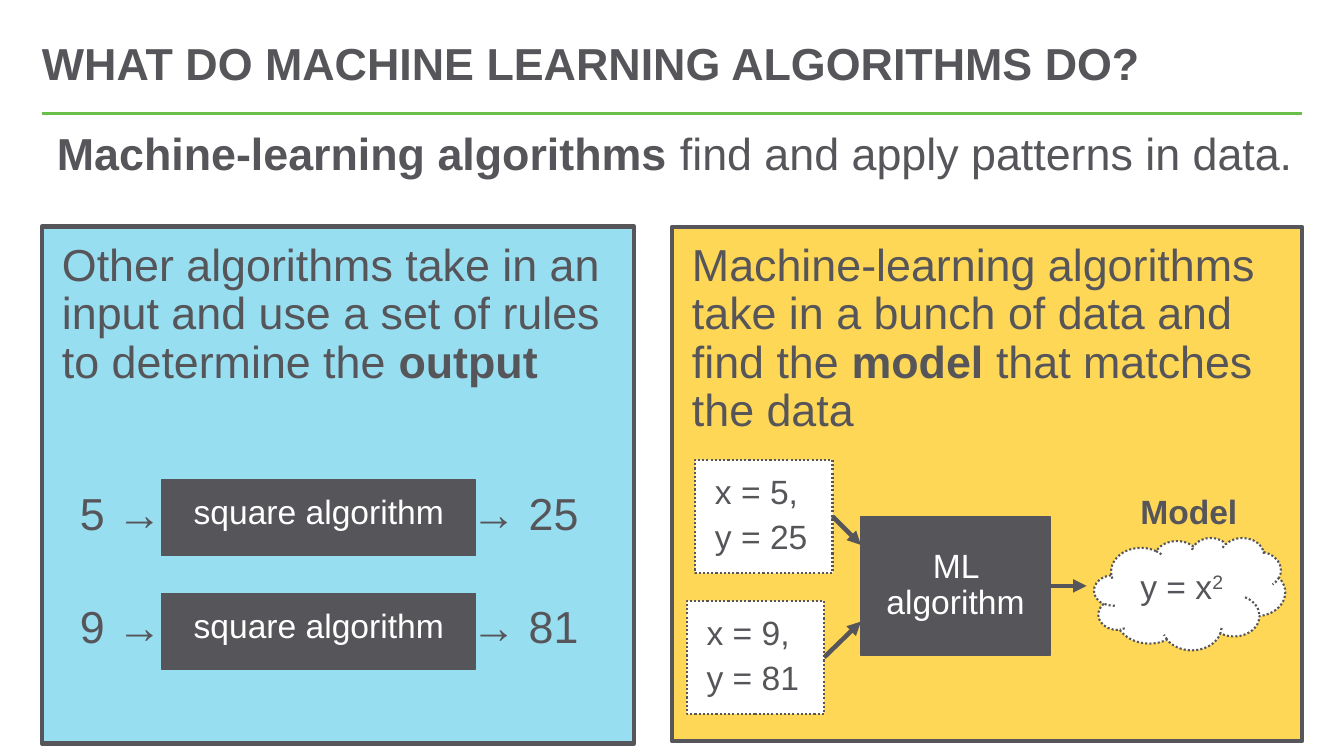
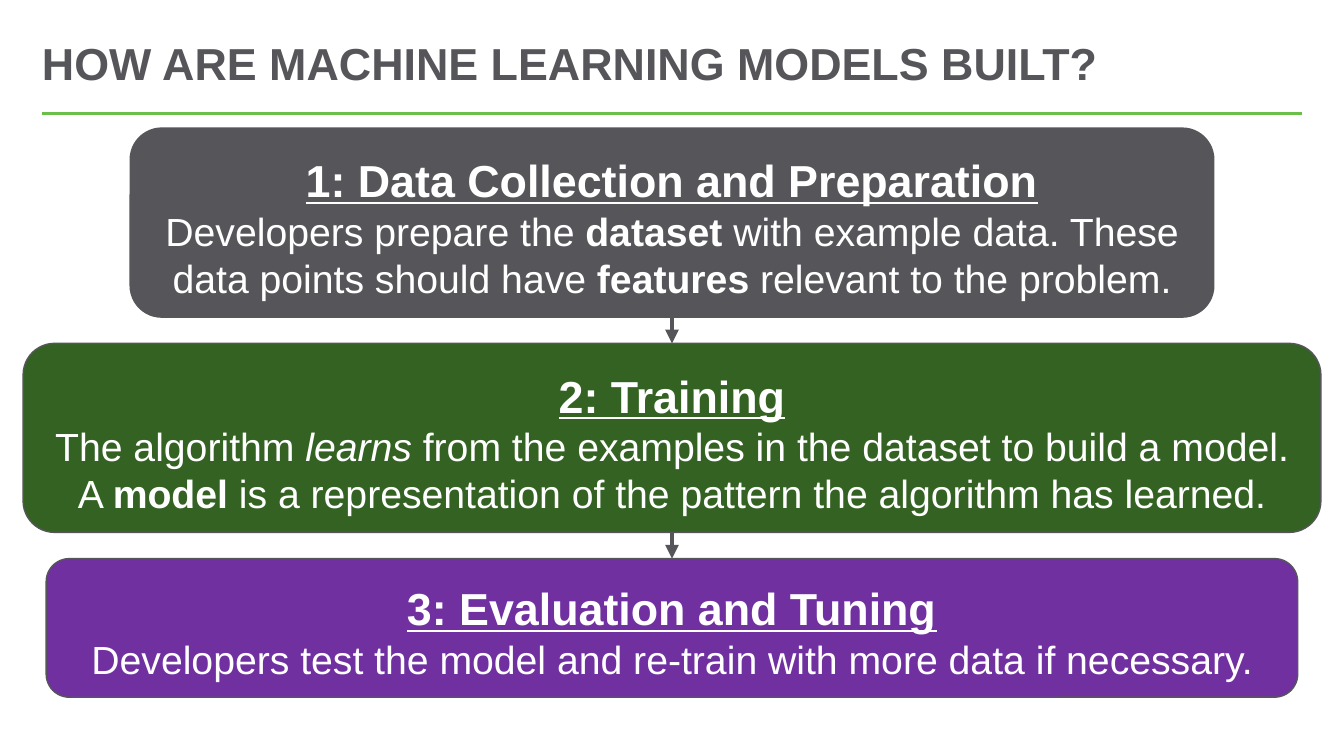
from dataclasses import dataclass

from pptx import Presentation
from pptx.dml.color import RGBColor as RGB
from pptx.enum.dml import MSO_LINE as Dash
from pptx.enum.shapes import MSO_CONNECTOR as Wire, MSO_SHAPE as Form
from pptx.enum.text import MSO_ANCHOR as Anchor, PP_ALIGN as Align
from pptx.oxml.ns import qn
from pptx.util import Emu, Pt
from lxml.etree import SubElement as Sub

SCALE = 9525
WIDE, HIGH = 1280, 720
EDGE = 40
PAD = (19, 15, 19, 15)
TOP, LEFT, BOTTOM, RIGHT = range(4)


@dataclass(frozen=True)
class Theme:
    font: str = "Arial"
    ink: str = "56565A"
    paper: str = "FFFFFF"
    rule: str = "6ABF4B"
    sky: str = "98DEF1"
    sun: str = "FFD757"
    leaf: str = "346223"
    plum: str = "7030A0"
    large: int = 32
    medium: int = 28
    small: int = 24
    tight: float = 0.9
    arrow: float = 3.25


THEME = Theme()


@dataclass(frozen=True)
class Para:
    runs: tuple
    size: int = THEME.large
    color: str = THEME.ink
    style: str = ""
    align: Align = Align.LEFT
    space: float = THEME.tight
    after: int = 6


def px(*sizes):
    return [Emu(round(size * SCALE)) for size in sizes]


def mark(font, style):
    if "b" in style:
        font.bold = True
    if "i" in style:
        font.italic = True
    if "u" in style:
        font.underline = True


def write(shape, paras, inset=PAD, anchor=Anchor.TOP):
    frame = shape.text_frame
    frame.word_wrap = True
    frame.vertical_anchor = anchor
    (frame.margin_left, frame.margin_top,
     frame.margin_right, frame.margin_bottom) = px(*inset)
    for index, para in enumerate(paras):
        line = frame.add_paragraph() if index else frame.paragraphs[0]
        line.alignment = para.align
        line.line_spacing = para.space
        line.space_after = Pt(para.after)
        font = line.font
        font.name, font.size = THEME.font, Pt(para.size)
        font.color.rgb = RGB.from_string(para.color)
        mark(font, para.style)
        for words, style in para.runs:
            run = line.add_run()
            run.text = words
            mark(run.font, style)
            if "^" in style:
                run._r.get_or_add_rPr().set("baseline", "30000")


def plain(words, **looks):
    return Para(((words, ""),), **looks)


def text(slide, rect, paras, **looks):
    write(slide.shapes.add_textbox(*px(*rect)), paras, **looks)


def box(slide, rect, paras, fill, form=Form.RECTANGLE, width=1,
        dash=None, anchor=Anchor.TOP):
    shape = slide.shapes.add_shape(form, *px(*rect))
    shape.shadow.inherit = False
    shape.fill.solid()
    shape.fill.fore_color.rgb = RGB.from_string(fill)
    shape.line.color.rgb = RGB.from_string(THEME.ink)
    shape.line.width = Pt(width)
    if dash:
        shape.line.dash_style = dash
    write(shape, paras, anchor=anchor)
    return shape


def stroke(slide, start, end, color, width):
    line = slide.shapes.add_connector(Wire.STRAIGHT, *px(*start, *end))
    line.line.color.rgb = RGB.from_string(color)
    line.line.width = Pt(width)
    Sub(line._element.spPr, qn("a:effectLst"))
    return line


def arrow(slide, source, site, end):
    line = stroke(slide, (0, 0), end, THEME.ink, THEME.arrow)
    line.begin_connect(source, site)
    Sub(line.line._get_or_add_ln(), qn("a:tailEnd")).set("type", "triangle")
    return line


def page(deck, title):
    slide = deck.slides.add_slide(deck.slide_layouts[6])
    stroke(slide, (EDGE, 108), (WIDE - EDGE, 108), THEME.rule, 2.25)
    text(slide, (EDGE, 24, WIDE - 2 * EDGE, 72),
         [plain(title, style="b", after=0)],
         inset=(0, 5, 0, 0), anchor=Anchor.MIDDLE)
    return slide


def label(words):
    return plain(words, size=THEME.small, color=THEME.paper,
                 align=Align.CENTER, after=0)


def square(slide, top, given, result):
    box(slide, (154, top, 299, 72), [label("square algorithm")], THEME.ink)
    for left, words in ((57, f"{given} →"), (430, f"→ {result}")):
        text(slide, (left, top - 4, 160, 72), [plain(words)])


def learn(slide):
    model = box(slide, (820, 492, 180, 132), [label("ML algorithm")],
                THEME.ink, anchor=Anchor.MIDDLE)
    samples = ((662, 438, 5, 25, 519), (654, 572, 9, 81, 592))
    for left, top, x, y, entry in samples:
        lines = [plain(words, size=THEME.small)
                 for words in (f"x = {x},", f"y = {y}")]
        sample = box(slide, (left, top, 131, 108), lines, THEME.paper,
                     width=1.5, dash=Dash.ROUND_DOT)
        arrow(slide, sample, RIGHT, (820, entry))
    arrow(slide, model, RIGHT, (1035, 558))
    box(slide, (1042, 512, 182, 107),
        [Para((("y = x", ""), ("2", "^")), size=THEME.small)],
        THEME.paper, Form.CLOUD, 1.5, Dash.ROUND_DOT)
    text(slide, (1067, 457, 150, 66),
         [plain("Model", size=THEME.small, style="b")])


def compare(deck):
    slide = page(deck, "WHAT DO MACHINE LEARNING ALGORITHMS DO?")
    text(slide, (46, 120, 1194, 60),
         [Para((("Machine-learning algorithms", "b"),
                (" find and apply patterns in data.", "")),
               align=Align.CENTER, space=1.0, after=12)],
         inset=(0, 0, 0, 0))
    box(slide, (EDGE, 216, 564, 492),
        [Para((("Other algorithms take in an input and use a set of rules "
                "to determine the ", ""), ("output", "b")))],
        THEME.sky, width=3.25)
    box(slide, (640, 216, 600, 490),
        [Para((("Machine-learning algorithms take in a bunch of data and "
                "find the ", ""), ("model", "b"),
               (" that matches the data", "")))],
        THEME.sun, width=3)
    for row, (given, result) in enumerate(((5, 25), (9, 81))):
        square(slide, 457 + 108 * row, given, result)
    learn(slide)


def build(deck):
    slide = page(deck, "HOW ARE MACHINE LEARNING MODELS BUILT?")
    stages = (
        (1032, 180, THEME.ink, "1: Data Collection and Preparation",
         (("Developers prepare the ", ""), ("dataset", "b"),
          (" with example data. These data points should have ", ""),
          ("features", "b"), (" relevant to the problem.", ""))),
        (1236, 180, THEME.leaf, "2: Training",
         (("The algorithm ", ""), ("learns", "i"),
          (" from the examples in the dataset to build a model. A ", ""),
          ("model", "b"),
          (" is a representation of the pattern the algorithm has learned.",
           ""))),
        (1192, 132, THEME.plum, "3: Evaluation and Tuning",
         (("Developers test the model and re-train with more data "
           "if necessary.", ""),)),
    )
    looks = dict(color=THEME.paper, align=Align.CENTER, space=1.0, after=0)
    top, gap, last = 122, 25, None
    for width, height, fill, head, runs in stages:
        stage = box(slide, ((WIDE - width) // 2, top, width, height),
                    [plain(head, style="bu", **looks),
                     Para(runs, size=THEME.medium, **looks)],
                    fill, Form.ROUNDED_RECTANGLE)
        if last:
            arrow(slide, last, BOTTOM, (WIDE // 2, top)).end_connect(stage, TOP)
        last = stage
        top += height + gap


def main():
    deck = Presentation()
    deck.slide_width, deck.slide_height = px(WIDE, HIGH)
    compare(deck)
    build(deck)
    deck.save("out.pptx")


if __name__ == "__main__":
    main()
